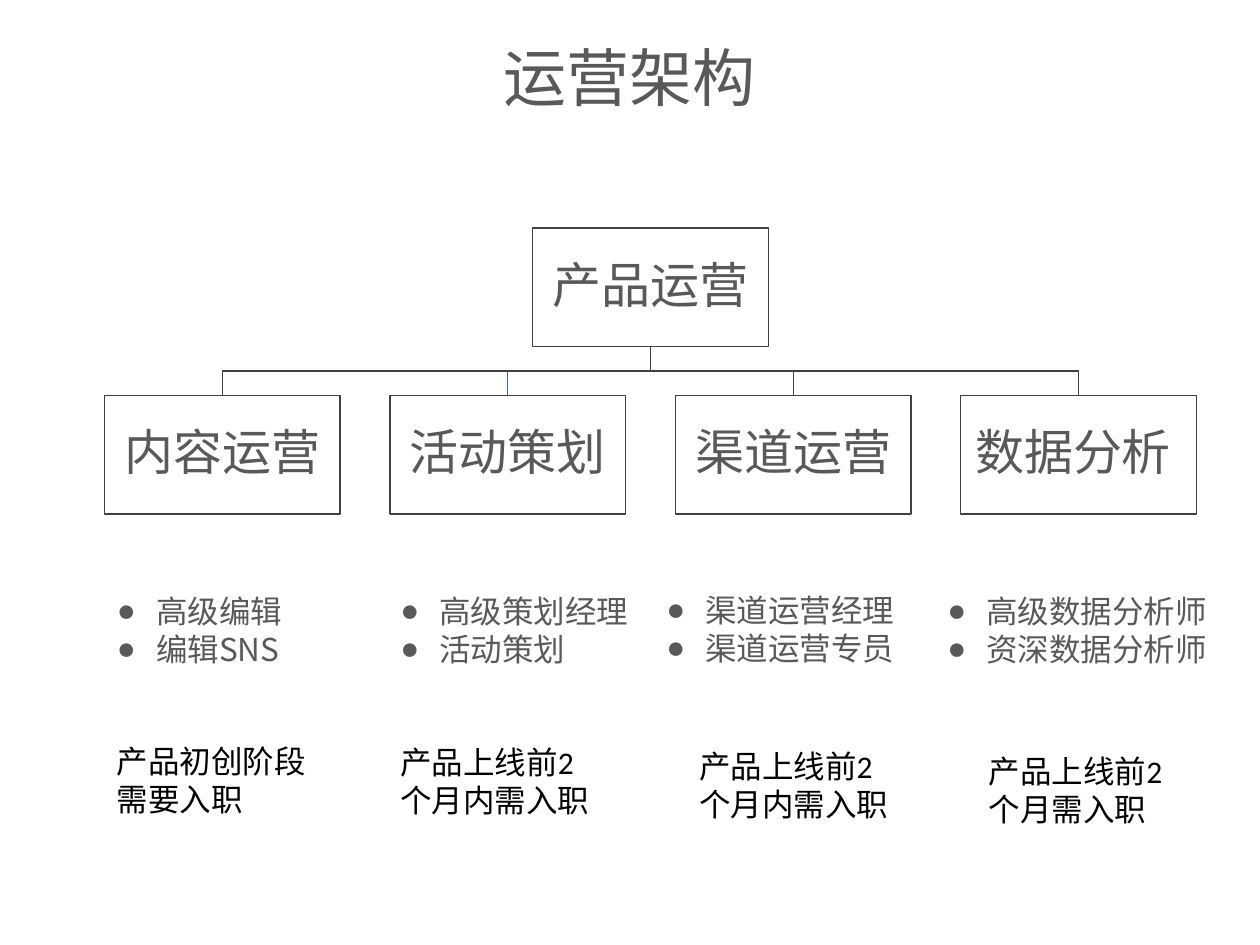
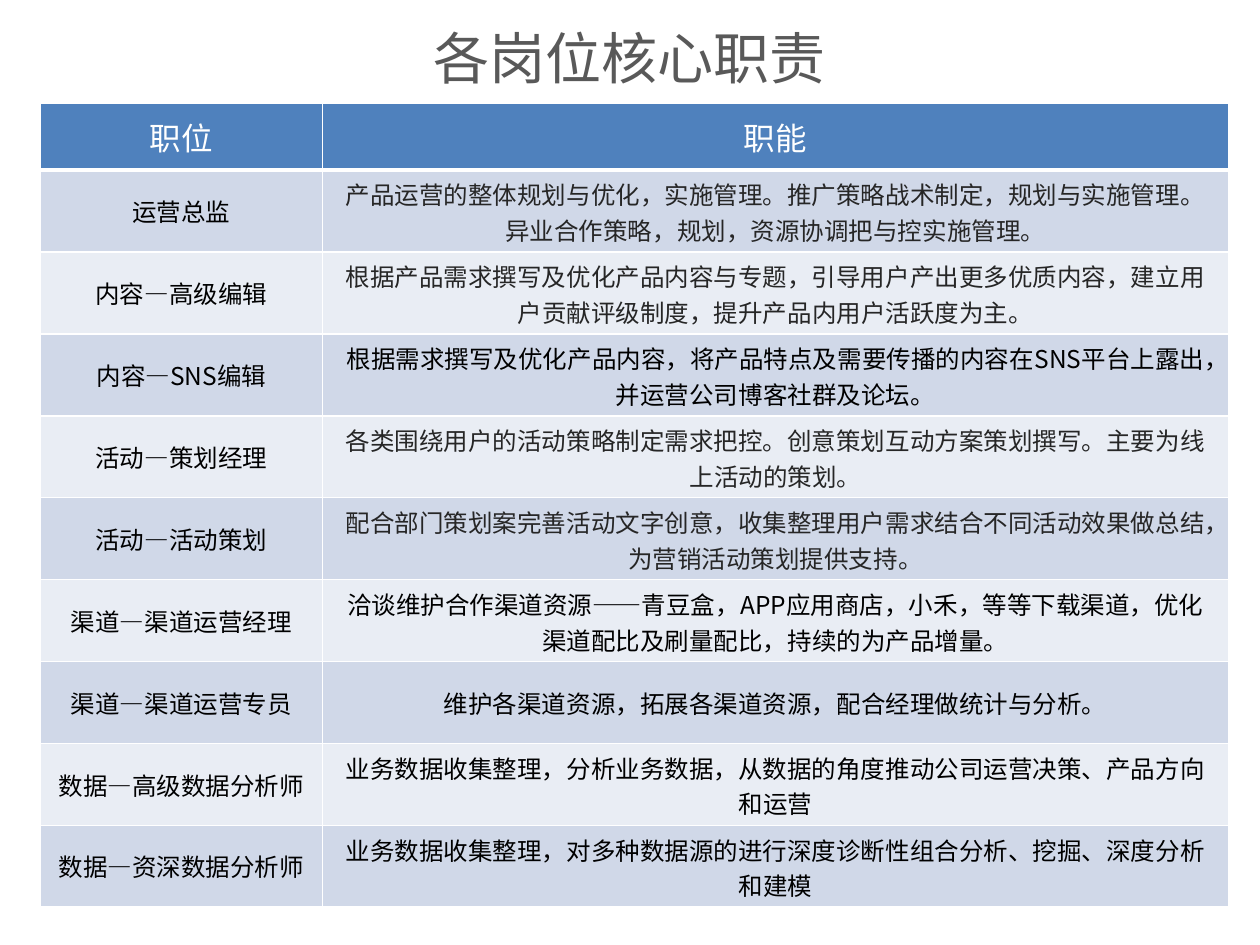
from dataclasses import dataclass

from lxml.etree import SubElement
from pptx import Presentation
from pptx.dml.color import RGBColor
from pptx.enum.shapes import MSO_SHAPE
from pptx.enum.text import MSO_ANCHOR, PP_ALIGN
from pptx.oxml.ns import qn
from pptx.util import Emu, Inches, Pt

# Colours and fonts
WHITE = RGBColor(0xFF, 0xFF, 0xFF)
BLACK = RGBColor(0x00, 0x00, 0x00)
INK = RGBColor(0x26, 0x26, 0x26)
GREY = RGBColor(0x59, 0x59, 0x59)
OUTLINE = RGBColor(0x40, 0x40, 0x40)
BLUE_LINE = RGBColor(0x3F, 0x67, 0x97)
HEADER = RGBColor(0x4F, 0x81, 0xBD)
BANDS = (RGBColor(0xD0, 0xD8, 0xE8), RGBColor(0xE9, 0xED, 0xF4))
SANS = "Noto Sans CJK SC"
LATIN = "Calibri"

# The slide is a grid of 100 columns by 75 rows
COLUMNS, ROWS = 100, 75
SLIDE_WIDTH, SLIDE_HEIGHT = Inches(10), Inches(7.5)


def across(columns: float) -> Emu:
    return Emu(round(SLIDE_WIDTH * columns / COLUMNS))


def down(rows: float) -> Emu:
    return Emu(round(SLIDE_HEIGHT * rows / ROWS))


@dataclass(frozen=True)
class Area:
    left: float
    top: float
    width: float
    height: float

    def emu(self) -> tuple:
        return across(self.left), down(self.top), across(self.width), down(self.height)

    @property
    def middle(self) -> float:
        return self.left + self.width / 2

    @property
    def bottom(self) -> float:
        return self.top + self.height


@dataclass(frozen=True)
class Style:
    size: float
    color: RGBColor
    name: str = SANS
    align: PP_ALIGN = PP_ALIGN.LEFT
    spacing: float = 1.0
    bullet: bool = False


@dataclass(frozen=True)
class Team:
    name: str
    posts: tuple
    posts_area: Area
    stage: str
    stage_area: Area
    line: RGBColor = OUTLINE


@dataclass(frozen=True)
class Duty:
    post: str
    text: str
    color: RGBColor = BLACK


UNIT_STYLE = Style(28, GREY, LATIN, PP_ALIGN.CENTER, 0.9)
POST_STYLE = Style(18, GREY, bullet=True)
STAGE_STYLE = Style(18, BLACK, LATIN)
HEAD_STYLE = Style(18, WHITE, align=PP_ALIGN.CENTER)

# Organisation chart: four boxes at an equal pitch, the root above their middle
BOX_WIDTH, BOX_HEIGHT = 18.7, 9.4
FIRST_LEFT, PITCH = 8.3, 22.65
ROOT_TOP, TEAM_TOP = 18.1, 31.4

TEAMS = (
    Team("内容运营", ("高级编辑", "编辑SNS"), Area(8.3, 46.5, 17.5, 7.1),
         "产品初创阶段需要入职", Area(8.3, 58.4, 17.5, 7.1)),
    Team("活动策划", ("高级策划经理", "活动策划"), Area(30.8, 46.5, 20.3, 7.1),
         "产品上线前2个月内需入职", Area(30.8, 58.5, 17.5, 7.1), BLUE_LINE),
    Team("渠道运营", ("渠道运营经理", "渠道运营专员"), Area(51.9, 46.4, 20.3, 7.1),
         "产品上线前2个月内需入职", Area(54.5, 58.8, 17.5, 7.1)),
    Team("数据分析 ", ("高级数据分析师", "资深数据分析师"), Area(74.2, 46.5, 23.9, 7.1),
         "产品上线前2个月需入职", Area(77.5, 59.2, 17.5, 7.1)),
)

# Table of posts and duties
TABLE_HEADS = ("职位", "职能")
TABLE_COLUMNS = (22.4, 71.9)
HEAD_ROW, BODY_ROW = 5.3, 6.5

DUTIES = (
    Duty("运营总监", "产品运营的整体规划与优化，实施管理。推广策略战术制定，规划与实施管理。"
         "异业合作策略，规划，资源协调把与控实施管理。", INK),
    Duty("内容—高级编辑", "根据产品需求撰写及优化产品内容与专题，引导用户产出更多优质内容，"
         "建立用户贡献评级制度，提升产品内用户活跃度为主。", INK),
    Duty("内容—SNS编辑", "根据需求撰写及优化产品内容，将产品特点及需要传播的内容在SNS平台上露出，"
         "并运营公司博客社群及论坛。"),
    Duty("活动—策划经理", "各类围绕用户的活动策略制定需求把控。创意策划互动方案策划撰写。"
         "主要为线上活动的策划。", INK),
    Duty("活动—活动策划", "配合部门策划案完善活动文字创意，收集整理用户需求结合不同活动效果做总结，"
         "为营销活动策划提供支持。", INK),
    Duty("渠道—渠道运营经理", "洽谈维护合作渠道资源——青豆盒，APP应用商店，小禾，等等下载渠道，"
         "优化渠道配比及刷量配比，持续的为产品增量。"),
    Duty("渠道—渠道运营专员", "维护各渠道资源，拓展各渠道资源，配合经理做统计与分析。"),
    Duty("数据—高级数据分析师", "业务数据收集整理，分析业务数据，从数据的角度推动公司运营决策、"
         "产品方向和运营"),
    Duty("数据—资深数据分析师", "业务数据收集整理，对多种数据源的进行深度诊断性组合分析、挖掘、"
         "深度分析和建模"),
)


def apply(target: object, values: dict) -> None:
    for name, value in values.items():
        setattr(target, name, value)


def write(frame, lines: tuple, style: Style) -> None:
    """Fill a text frame, one paragraph for each line."""
    for index, line in enumerate(lines):
        para = frame.add_paragraph() if index else frame.paragraphs[0]
        apply(para, {"alignment": style.align, "line_spacing": style.spacing})
        if style.bullet:
            add_bullet(para)
        span = para.add_run()
        span.text = line
        apply(span.font, {"size": Pt(style.size), "name": style.name})
        span.font.color.rgb = style.color
        properties = span._r.get_or_add_rPr()
        properties.set("lang", "zh-CN")
        SubElement(properties, qn("a:ea"), typeface=SANS)


def add_bullet(para) -> None:
    properties = para._p.get_or_add_pPr()
    indent = across(3.1)
    properties.set("marL", str(indent))
    properties.set("indent", str(-indent))
    SubElement(properties, qn("a:buFont"), typeface="Arial")
    SubElement(properties, qn("a:buChar"), char="●")


def add_text(page, area: Area, lines: tuple, style: Style,
             anchor: MSO_ANCHOR = MSO_ANCHOR.TOP) -> None:
    frame = page.shapes.add_textbox(*area.emu()).text_frame
    apply(frame, {"word_wrap": True, "vertical_anchor": anchor})
    write(frame, lines, style)


def add_page(deck, title: str, top: float, size: float):
    """Add a blank page with the shared title."""
    page = deck.slides.add_slide(deck.slide_layouts[6])
    style = Style(size, GREY, align=PP_ALIGN.CENTER)
    add_text(page, Area(5, top, 90, 7.6), (title,), style, MSO_ANCHOR.MIDDLE)
    return page


def add_unit(page, area: Area, name: str) -> None:
    box = page.shapes.add_shape(MSO_SHAPE.RECTANGLE, *area.emu())
    box.shadow.inherit = False
    box.fill.background()
    box.line.color.rgb = OUTLINE
    box.line.width = Pt(0.75)
    frame = box.text_frame
    margins = {f"margin_{side}": Inches(0.02) for side in ("left", "top", "right", "bottom")}
    apply(frame, {"word_wrap": True, "vertical_anchor": MSO_ANCHOR.MIDDLE, **margins})
    write(frame, (name,), UNIT_STYLE)


def add_branch(page, parent: Area, child: Area, color: RGBColor) -> None:
    """Draw an elbow line from the parent's foot to the child's head."""
    bend = (parent.bottom + child.top) / 2
    corners = ((parent.middle, bend), (child.middle, bend), (child.middle, child.top))
    builder = page.shapes.build_freeform(across(parent.middle), down(parent.bottom))
    builder.add_line_segments([(across(x), down(y)) for x, y in corners], close=False)
    branch = builder.convert_to_shape()
    branch.shadow.inherit = False
    branch.fill.background()
    branch.line.color.rgb = color
    branch.line.width = Pt(0.75)


def add_borders(cell, top: float, bottom: float) -> None:
    properties = cell._tc.get_or_add_tcPr()
    for side, width in {"L": 1, "R": 1, "T": top, "B": bottom}.items():
        line = SubElement(properties, qn(f"a:ln{side}"), w=str(Pt(width)))
        fill = SubElement(line, qn("a:solidFill"))
        SubElement(fill, qn("a:srgbClr"), val=str(WHITE))


def fill_row(table, row: int, texts: tuple, styles: tuple, color: RGBColor) -> None:
    for column, (text, style) in enumerate(zip(texts, styles)):
        cell = table.cell(row, column)
        add_borders(cell, top=3 if row == 1 else 1, bottom=3 if row == 0 else 1)
        cell.fill.solid()
        cell.fill.fore_color.rgb = color
        cell.vertical_anchor = MSO_ANCHOR.MIDDLE
        write(cell.text_frame, (text,), style)


def build_structure(deck) -> None:
    page = add_page(deck, "运营架构", 2.3, 36)
    middle_left = FIRST_LEFT + PITCH * (len(TEAMS) - 1) / 2
    root = Area(middle_left, ROOT_TOP, BOX_WIDTH, BOX_HEIGHT)
    areas = [Area(FIRST_LEFT + PITCH * index, TEAM_TOP, BOX_WIDTH, BOX_HEIGHT)
             for index in range(len(TEAMS))]
    # Branches run from right to left, so the shared stem ends up grey
    for team, area in reversed(list(zip(TEAMS, areas))):
        add_branch(page, root, area, team.line)
    add_unit(page, root, "产品运营")
    for team, area in zip(TEAMS, areas):
        add_unit(page, area, team.name)
        add_text(page, team.posts_area, team.posts, POST_STYLE)
        add_text(page, team.stage_area, (team.stage,), STAGE_STYLE)


def build_duties(deck) -> None:
    page = add_page(deck, "各岗位核心职责", 0.7, 32)
    heights = (HEAD_ROW,) + (BODY_ROW,) * len(DUTIES)
    area = Area(3.2, 8.2, sum(TABLE_COLUMNS), sum(heights))
    table = page.shapes.add_table(len(heights), len(TABLE_COLUMNS), *area.emu()).table
    for column, width in zip(table.columns, TABLE_COLUMNS):
        column.width = across(width)
    for row, height in zip(table.rows, heights):
        row.height = down(height)
    fill_row(table, 0, TABLE_HEADS, (HEAD_STYLE, HEAD_STYLE), HEADER)
    for index, duty in enumerate(DUTIES):
        styles = tuple(Style(14, color, align=PP_ALIGN.CENTER) for color in (BLACK, duty.color))
        fill_row(table, index + 1, (duty.post, duty.text), styles, BANDS[index % 2])


def main() -> None:
    deck = Presentation()
    apply(deck, {"slide_width": SLIDE_WIDTH, "slide_height": SLIDE_HEIGHT})
    build_structure(deck)
    build_duties(deck)
    deck.save("out.pptx")


main()
